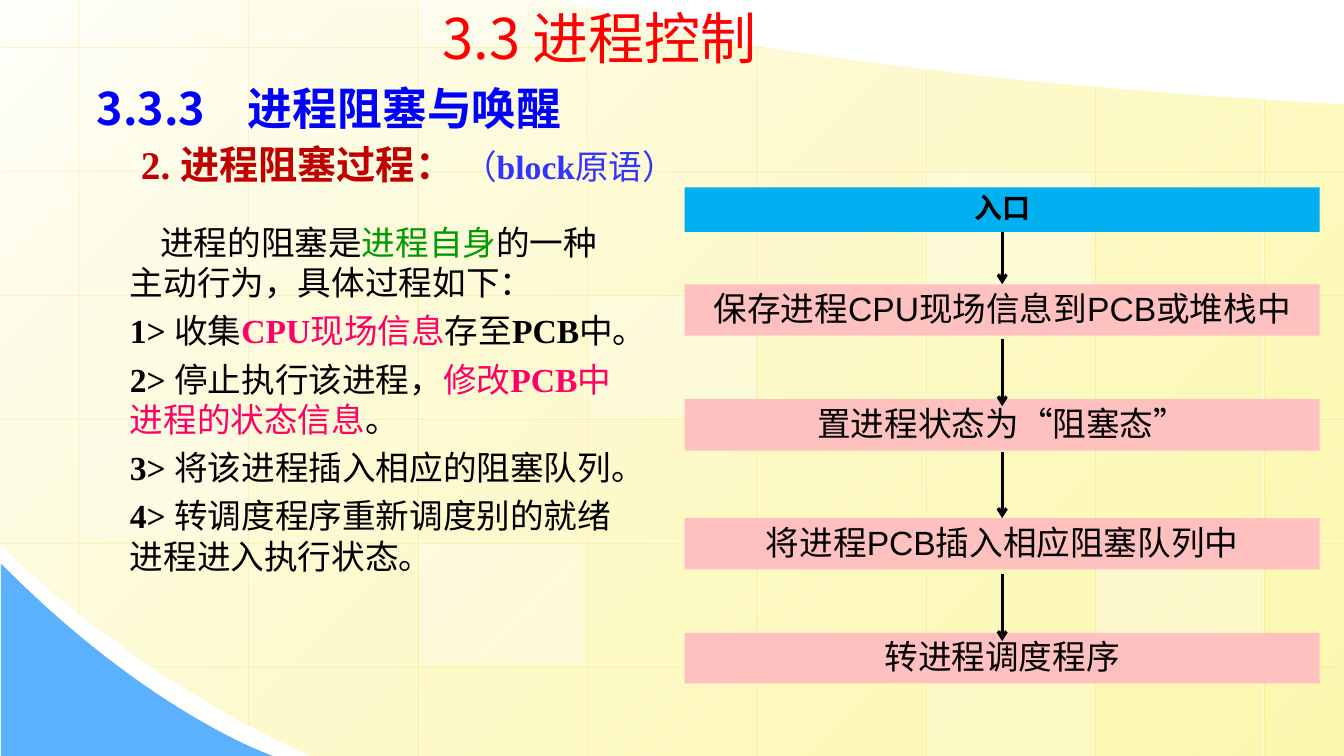
from dataclasses import dataclass

from lxml.etree import SubElement
from pptx import Presentation
from pptx.dml.color import RGBColor
from pptx.enum.shapes import MSO_CONNECTOR, MSO_SHAPE
from pptx.enum.text import MSO_ANCHOR, PP_ALIGN
from pptx.oxml.ns import qn
from pptx.util import Inches, Pt

COLORS = {
    "white": "FFFFFF", "cream": "FFFFFB", "yellow": "FDF58D", "gold": "FFCC00",
    "corner": "5CB1FE", "red": "FF0000", "blue": "0000FF", "crimson": "C00000",
    "violet": "3333FF", "black": "000000", "green": "009A00", "pink": "FF0066",
    "entry": "00B0F0", "step": "FFC0C0",
}
SANS, SERIF, ARIAL = "Noto Sans CJK SC", "Times New Roman", "Arial"


@dataclass
class Span:
    text: str
    color: str = "black"
    font: str = SANS
    size: float = 24
    bold: bool = False


@dataclass
class Line:
    spans: list[Span]
    spacing: float | None = None
    before: float = 0
    margin: float = 0
    indent: float = 0
    tab: float | None = None


@dataclass
class Box:
    left: float
    top: float
    width: float
    height: float


@dataclass
class Step:
    text: str
    top: float
    height: float = 0.51
    fill: str = "step"
    size: float = 24
    bold: bool = False


def rgb(name: str) -> RGBColor:
    return RGBColor.from_string(COLORS[name])


def set_alpha(color_node, percent: int) -> None:
    SubElement(color_node, qn("a:alpha"), val=str(percent * 1000))


def write(frame, lines: list[Line], align=PP_ALIGN.LEFT) -> None:
    frame.word_wrap = True
    for number, line in enumerate(lines):
        paragraph = frame.add_paragraph() if number else frame.paragraphs[0]
        paragraph.alignment = align
        paragraph.space_before = Pt(line.before)
        if line.spacing:
            paragraph.line_spacing = Pt(line.spacing)
        properties = paragraph._p.get_or_add_pPr()
        properties.set("marL", str(Inches(line.margin)))
        properties.set("indent", str(Inches(line.indent)))
        if line.tab:
            stops = SubElement(properties, qn("a:tabLst"))
            SubElement(stops, qn("a:tab"), pos=str(Inches(line.tab)), algn="l")
        for span in line.spans:
            run = paragraph.add_run()
            run.text = span.text
            run.font.name = span.font
            run.font.size = Pt(span.size)
            run.font.bold = span.bold
            run.font.color.rgb = rgb(span.color)
            SubElement(run._r.get_or_add_rPr(), qn("a:ea"), typeface=SANS)


def add_text(shapes, box: Box, lines: list[Line], top_inset: float = 0.05,
             anchor=MSO_ANCHOR.TOP) -> None:
    frame = shapes.add_textbox(*map(Inches, (box.left, box.top, box.width, box.height))).text_frame
    frame.margin_top = Inches(top_inset)
    frame.vertical_anchor = anchor
    write(frame, lines)


def add_rect(shapes, box: Box, fill: str):
    rect = shapes.add_shape(MSO_SHAPE.RECTANGLE,
                            *map(Inches, (box.left, box.top, box.width, box.height)))
    rect.shadow.inherit = False
    rect.line.fill.background()
    rect.fill.solid()
    rect.fill.fore_color.rgb = rgb(fill)
    return rect


def add_line(shapes, start: tuple, end: tuple, color: str, width: float):
    line = shapes.add_connector(MSO_CONNECTOR.STRAIGHT, *map(Inches, start + end))
    line.line.color.rgb = rgb(color)
    line.line.width = Pt(width)
    return line, SubElement(line._element.spPr, qn("a:effectLst"))


def add_grid_line(shapes, start: tuple, end: tuple) -> None:
    line, effects = add_line(shapes, start, end, "white", 0.75)
    set_alpha(next(line._element.iter(qn("a:srgbClr"))), 50)
    shadow = SubElement(effects, qn("a:outerShdw"), dist=str(Pt(1.4)), dir="2700000")
    set_alpha(SubElement(shadow, qn("a:srgbClr"), val=COLORS["gold"]), 34)


def add_arrow(shapes, top: float, bottom: float) -> None:
    arrow, _ = add_line(shapes, (9.94, top), (9.94, bottom), "black", 2.25)
    SubElement(arrow.line._get_or_add_ln(), qn("a:tailEnd"), type="arrow")


def curve(start: tuple, control1: tuple, control2: tuple, end: tuple) -> list[tuple]:
    steps = 40
    return [
        tuple((1 - t) ** 3 * a + 3 * (1 - t) ** 2 * t * b + 3 * (1 - t) * t ** 2 * c + t ** 3 * d
              for a, b, c, d in zip(start, control1, control2, end))
        for t in (step / steps for step in range(steps + 1))
    ]


def add_outline(shapes, points: list[tuple]):
    corners = [(Inches(x), Inches(y)) for x, y in points]
    builder = shapes.build_freeform(*corners[0], scale=1.0)
    builder.add_line_segments(corners[1:], close=True)
    outline = builder.convert_to_shape()
    outline.shadow.inherit = False
    outline.line.fill.background()
    return outline


def draw_background(shapes) -> None:
    field = add_outline(shapes, [(0, 0), (5.61, 0.01)]
                        + curve((5.61, 0.01), (5.61, 0.01), (7.15, 0.69), (13.33, 1.04))
                        + [(13.33, 7.5)]
                        + curve((3.07, 7.5), (1.15, 6.61), (-0.01, 5.39), (0, 5.39)))
    field.fill.gradient()
    field.fill.gradient_angle = 315
    for stop, color in zip(field.fill.gradient_stops, ("cream", "yellow")):
        stop.color.rgb = rgb(color)
    set_alpha(list(field._element.spPr.iter(qn("a:srgbClr")))[-1], 70)

    corner = add_outline(shapes, [(0.01, 7.5)]
                         + curve((2.71, 7.5), (2.71, 7.5), (1.49, 7.09), (0.01, 5.59)))
    corner.fill.solid()
    corner.fill.fore_color.rgb = rgb("corner")

    column_ends = [(0, 6.09), (0, 7.19), (0, 7.5), (0, 7.5),
                   (0.43, 7.5), (0.68, 7.5), (0.85, 7.5), (0.98, 7.5)]
    for column, (top, bottom) in enumerate(column_ends):
        x = 0.77 + 1.68 * column
        add_grid_line(shapes, (x, top), (x, bottom))
    row_ends = [(0, 7.57)] + [(0, 13.33)] * 4 + [(1.48, 13.29)]
    for row, (left, right) in enumerate(row_ends):
        y = 0.46 + 1.228 * row
        add_grid_line(shapes, (right, y), (left, y))

    tiles = [(Box(5.84, 2.94, 1.65, 1.18), 25), (Box(10.88, 5.4, 1.63, 1.18), 30),
             (Box(0.8, 4.16, 1.65, 1.18), 20), (Box(9.2, 6.63, 1.65, 0.87), 20),
             (Box(4.15, 0, 1.65, 0.44), 40), (Box(4.16, 5.4, 1.63, 1.18), 30),
             (Box(9.19, 1.71, 1.63, 1.18), 30)]
    for box, opacity in tiles:
        tile = add_rect(shapes, box, "white")
        set_alpha(next(tile._element.spPr.iter(qn("a:srgbClr"))), opacity)


def draw_flow(shapes) -> None:
    steps = [Step("入口", 1.86, 0.44, "entry", 20, True),
             Step("保存进程CPU现场信息到PCB或堆栈中", 2.82), Step("置进程状态为“阻塞态”", 3.96),
             Step("将进程PCB插入相应阻塞队列中", 5.14), Step("转进程调度程序", 6.28, 0.5)]
    for step in steps:
        rect = add_rect(shapes, Box(6.79, step.top, 6.3, step.height), step.fill)
        frame = rect.text_frame
        frame.margin_top, frame.margin_bottom = 0, Inches(0.04)
        frame.vertical_anchor = MSO_ANCHOR.MIDDLE
        write(frame, [Line([Span(step.text, "black", ARIAL, step.size, step.bold)])],
              PP_ALIGN.CENTER)
    for top, bottom in [(2.3, 2.82), (3.36, 4.03), (4.48, 5.14), (5.69, 6.36)]:
        add_arrow(shapes, top, bottom)


def latin(text: str, color: str = "black") -> Span:
    return Span(text, color, SERIF, bold=True)


def main() -> None:
    deck = Presentation()
    deck.slide_width, deck.slide_height = Inches(13.33), Inches(7.5)
    shapes = deck.slides.add_slide(deck.slide_layouts[6]).shapes
    draw_background(shapes)
    add_text(shapes, Box(0.86, 0.72, 6.65, 1.17), [
        Line([Span("3.3.3\t进程阻塞与唤醒", "blue", SANS, 32, True)], 40.9, tab=1.39),
        Line([Span("2. 进程阻塞过程： ", "crimson", SERIF, 28, True), Span("（", "violet"),
              latin("block", "violet"), Span("原语）", "violet")], 37.4, margin=0.44),
    ])
    add_text(shapes, Box(4.29, -0.03, 5.05, 0.8),
             [Line([Span("3.3 进程控制", "red", size=40)])], anchor=MSO_ANCHOR.MIDDLE)
    draw_flow(shapes)
    procedure = [
        [Span("进程的阻塞是"), Span("进程自身", "green"), Span("的一种主动行为，具体过程如下：")],
        [latin("1> "), Span("收集"), latin("CPU", "pink"), Span("现场信息", "pink"),
         Span("存至"), latin("PCB"), Span("中。")],
        [latin("2> "), Span("停止执行该进程，"), Span("修改", "pink"), latin("PCB", "pink"),
         Span("中进程的状态信息", "pink"), Span("。")],
        [latin("3> "), Span("将该进程插入相应的阻塞队列。")],
        [latin("4> "), Span("转调度程序重新调度别的就绪进程进入执行状态。")],
    ]
    add_text(shapes, Box(1.19, 2.18, 4.99, 4.07),
             [Line(spans, 28.6, 6, indent=0 if number else 0.3)
              for number, spans in enumerate(procedure)], top_inset=0.02)
    deck.save("out.pptx")


if __name__ == "__main__":
    main()
